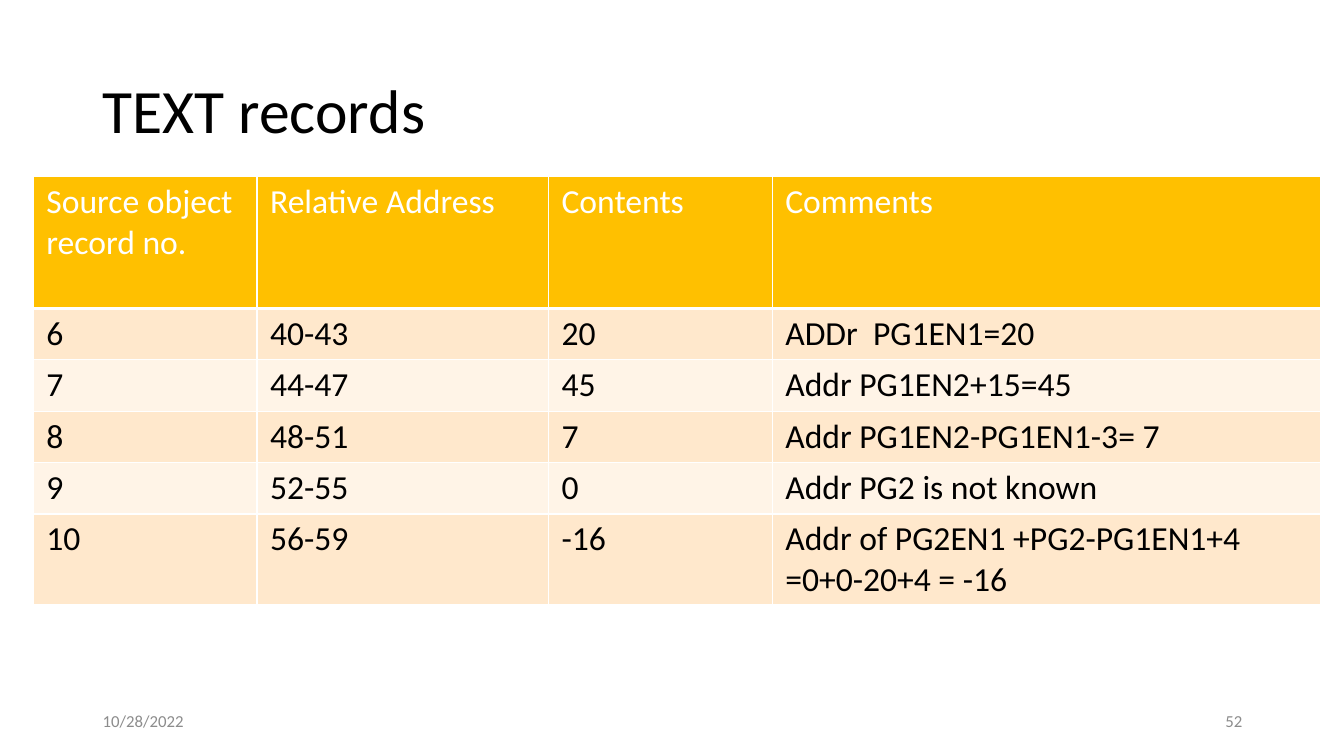
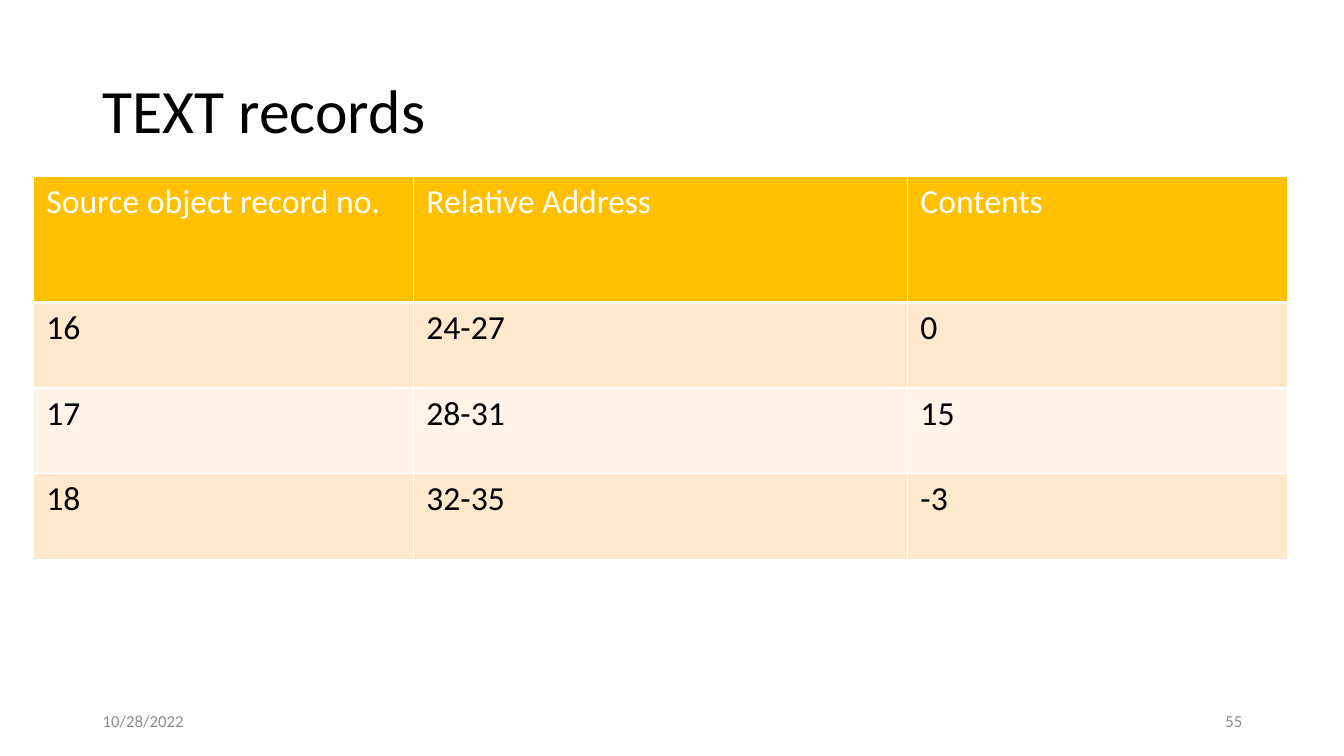
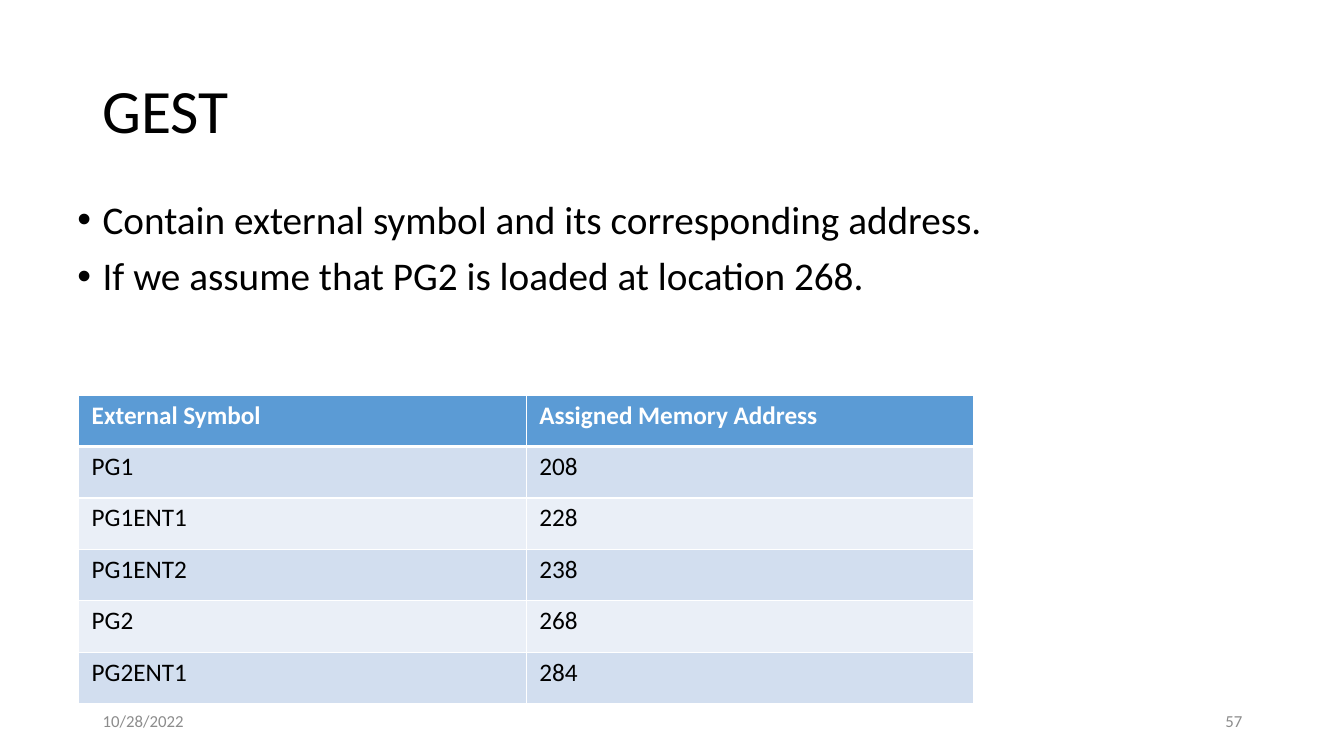
from dataclasses import dataclass

from lxml import etree
from pptx import Presentation
from pptx import util as u
from pptx.dml.color import RGBColor
from pptx.enum import text
from pptx.oxml import ns


@dataclass(frozen=True)
class TablePalette:
    header: str
    odd_row: str
    even_row: str


@dataclass(frozen=True)
class Theme:
    font: str = "Calibri"
    ink: str = "000000"
    white: str = "FFFFFF"
    muted: str = "8C8C8C"
    gold: TablePalette = TablePalette("FFC000", "FFE8CC", "FFF4E7")
    blue: TablePalette = TablePalette("5B9BD5", "D2DEEF", "EAEFF7")
    title_size: int = 44
    body_size: int = 28
    record_size: int = 24
    symbol_size: int = 18
    footer_size: int = 12
    line_spacing: float = 0.9
    thin_border: int = 1
    thick_border: int = 3


class Deck:
    DATE = "10/28/2022"

    def __init__(self, theme):
        self.theme = theme
        self.presentation = Presentation()
        self.presentation.slide_width = u.Inches(13.33)
        self.presentation.slide_height = u.Inches(7.5)
        self.slide = None

    def add_slide(self, title, number):
        """Start a slide with the shared title, date and slide number."""
        self.slide = self.presentation.slides.add_slide(self.presentation.slide_layouts[6])
        frame = self.text_box(0.92, 0.4, 11.5, 1.45, title, self.theme.title_size, self.theme.ink)
        frame.paragraphs[0].line_spacing = self.theme.line_spacing
        self.footer(0.92, self.DATE)
        self.footer(9.42, str(number), text.PP_ALIGN.RIGHT)

    def footer(self, left, content, alignment=text.PP_ALIGN.LEFT):
        frame = self.text_box(left, 6.95, 3, 0.4, content,
                              self.theme.footer_size, self.theme.muted)
        frame.paragraphs[0].alignment = alignment

    def text_box(self, left, top, width, height, content, size, color,
                 anchor=text.MSO_ANCHOR.MIDDLE):
        box = self.slide.shapes.add_textbox(*map(u.Inches, (left, top, width, height)))
        frame = box.text_frame
        frame.word_wrap = True
        frame.vertical_anchor = anchor
        frame.text = content
        self.format_runs(frame, size, color)
        return frame

    def format_runs(self, frame, size, color, bold=False):
        for paragraph in frame.paragraphs:
            for run in paragraph.runs:
                run.font.name = self.theme.font
                run.font.size = u.Pt(size)
                run.font.bold = bold
                run.font.color.rgb = RGBColor.from_string(color)

    def bullets(self, left, top, width, height, items):
        frame = self.text_box(left, top, width, height, "\n".join(items), self.theme.body_size,
                              self.theme.ink, text.MSO_ANCHOR.TOP)
        indent = u.Inches(0.25)
        for index, paragraph in enumerate(frame.paragraphs):
            properties = paragraph._p.get_or_add_pPr()
            properties.set("marL", str(indent))
            properties.set("indent", str(-indent))
            etree.SubElement(properties, ns.qn("a:buFont"), typeface="Arial")
            etree.SubElement(properties, ns.qn("a:buChar"), char="•")
            paragraph.line_spacing = self.theme.line_spacing
            if index:
                paragraph.space_before = u.Pt(10)

    def table(self, left, top, widths, heights, rows, palette, size, bold_header=False):
        theme = self.theme
        area = map(u.Inches, (left, top, sum(widths), sum(heights)))
        table = self.slide.shapes.add_table(len(rows), len(widths), *area).table
        for column, width in zip(table.columns, widths):
            column.width = u.Inches(width)
        for index, (row, height, values) in enumerate(zip(table.rows, heights, rows)):
            row.height = u.Inches(height)
            is_header = index == 0
            if is_header:
                fill, color = palette.header, theme.white
            else:
                fill = palette.odd_row if index % 2 else palette.even_row
                color = theme.ink
            for cell, value in zip(row.cells, values):
                cell.text_frame.text = value
                self.format_runs(cell.text_frame, size, color, is_header and bold_header)
                cell.margin_left = cell.margin_right = u.Inches(0.13)
                cell.margin_top = cell.margin_bottom = u.Inches(0.05)
                cell.fill.solid()
                cell.fill.fore_color.rgb = RGBColor.from_string(fill)
                self.cell_borders(cell, index)

    def cell_borders(self, cell, row_index):
        """Draw white borders, with a thicker one below the header row."""
        thin, thick = self.theme.thin_border, self.theme.thick_border
        borders = {
            "lnL": thin,
            "lnR": thin,
            "lnT": thick if row_index == 1 else thin,
            "lnB": thick if row_index == 0 else thin,
        }
        properties = cell._tc.get_or_add_tcPr()
        for position, (side, width) in enumerate(borders.items()):
            line = etree.Element(ns.qn(f"a:{side}"), w=str(u.Pt(width)))
            fill = etree.SubElement(line, ns.qn("a:solidFill"))
            etree.SubElement(fill, ns.qn("a:srgbClr"), val=self.theme.white)
            properties.insert(position, line)


def main():
    theme = Theme()
    deck = Deck(theme)
    record_headers = ["Source object record no.", "Relative Address", "Contents"]

    deck.add_slide("TEXT records", 52)
    deck.table(0.33, 1.75, [2.22, 2.89, 2.22, 5.44], [1.31] + [0.51] * 4 + [0.9], [
        record_headers + ["Comments"],
        ["6", "40-43", "20", "ADDr  PG1EN1=20"],
        ["7", "44-47", "45", "Addr PG1EN2+15=45"],
        ["8", "48-51", "7", "Addr PG1EN2-PG1EN1-3= 7"],
        ["9", "52-55", "0", "Addr PG2 is not known"],
        ["10", "56-59", "-16", "Addr of PG2EN1 +PG2-PG1EN1+4\n=0+0-20+4 = -16"],
    ], theme.gold, theme.record_size)

    deck.add_slide("TEXT records", 55)
    deck.table(0.33, 1.75, [3.77, 4.9, 3.77], [1.25] + [0.85] * 3, [
        record_headers,
        ["16", "24-27", "0"],
        ["17", "28-31", "15"],
        ["18", "32-35", "-3"],
    ], theme.gold, theme.record_size)

    deck.add_slide("GEST", 57)
    deck.bullets(0.67, 1.94, 12.66, 1.8, [
        "Contain external symbol and its corresponding address.",
        "If we assume that PG2 is loaded at location 268.",
    ])
    deck.table(0.78, 3.92, [4.44] * 2, [0.51] * 6, [
        ["External Symbol", "Assigned Memory Address"],
        ["PG1", "208"],
        ["PG1ENT1", "228"],
        ["PG1ENT2", "238"],
        ["PG2", "268"],
        ["PG2ENT1", "284"],
    ], theme.blue, theme.symbol_size, bold_header=True)

    deck.presentation.save("out.pptx")


if __name__ == "__main__":
    main()
